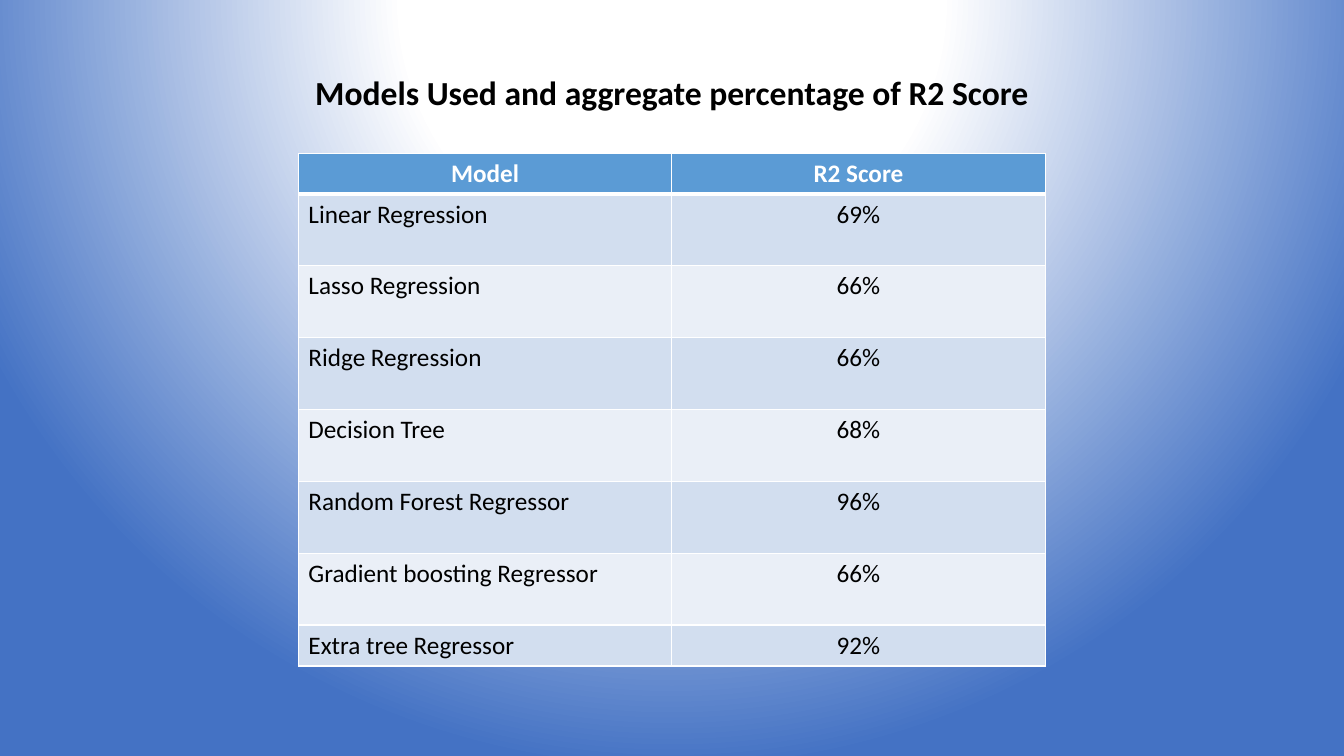
from dataclasses import dataclass

from lxml import etree
from pptx import Presentation
from pptx.dml.color import RGBColor
from pptx.enum import text
from pptx.oxml import ns
from pptx.util import Cm, Pt

COLORS = {
    "white": "FFFFFF",
    "black": "000000",
    "glow": "4472C4",
    "header": "5B9BD5",
    "odd_row": "D2DEEF",
    "even_row": "EAEFF7",
}
CENTER = text.PP_ALIGN.CENTER
LEFT = text.PP_ALIGN.LEFT
SHORT_ROW, TALL_ROW = 1.03, 1.81
COLUMN_WIDTH = 9.41


@dataclass
class ModelScore:
    model: str
    score: str
    height: float = TALL_ROW


SCORES = [
    ModelScore("Linear Regression", "69%"),
    ModelScore("Lasso Regression", "66%"),
    ModelScore("Ridge Regression", "66%"),
    ModelScore("Decision Tree", "68%"),
    ModelScore("Random Forest Regressor", "96%"),
    ModelScore("Gradient boosting Regressor", "66%"),
    ModelScore("Extra tree Regressor", "92%", SHORT_ROW),
]


def write(frame, content: str, *, size: float = 18, color: str = "black",
          bold: bool = False, align=LEFT) -> None:
    paragraph = frame.paragraphs[0]
    paragraph.alignment = align
    run = paragraph.add_run()
    run.text = content
    run.font.name = "Calibri"
    run.font.size = Pt(size)
    run.font.bold = bold
    run.font.color.rgb = RGBColor.from_string(COLORS[color])


def add_solid_fill(parent, color: str) -> None:
    fill = etree.SubElement(parent, ns.qn("a:solidFill"))
    etree.SubElement(fill, ns.qn("a:srgbClr"), val=COLORS[color])


def paint_background(slide) -> None:
    """Radial glow centred above the slide, white inside and blue outside."""
    slide.background.fill.gradient()
    gradient = next(slide.element.iter(ns.qn("a:gradFill")))
    for child in list(gradient):
        gradient.remove(child)
    stops = etree.SubElement(gradient, ns.qn("a:gsLst"))
    for percent, color in ((0, "white"), (35, "white"), (100, "glow")):
        stop = etree.SubElement(stops, ns.qn("a:gs"), pos=str(percent * 1000))
        etree.SubElement(stop, ns.qn("a:srgbClr"), val=COLORS[color])
    circle = etree.SubElement(gradient, ns.qn("a:path"), path="circle")
    etree.SubElement(circle, ns.qn("a:fillToRect"),
                     l="50000", t="-80000", r="50000", b="180000")


def format_cell(cell, fill: str, top: float = 1, bottom: float = 1) -> None:
    """Set white borders, widths in points, and then the fill."""
    properties = cell._tc.get_or_add_tcPr()
    for side, width in (("L", 1), ("R", 1), ("T", top), ("B", bottom)):
        line = etree.SubElement(properties, ns.qn(f"a:ln{side}"), w=str(Pt(width)))
        add_solid_fill(line, "white")
    cell.fill.solid()
    cell.fill.fore_color.rgb = RGBColor.from_string(COLORS[fill])


def add_title(slide) -> None:
    title = slide.shapes.title
    title.left, title.top, title.width, title.height = Cm(2.33), Cm(1.01), Cm(29.21), Cm(3.68)
    frame = title.text_frame
    frame.word_wrap = True
    frame.vertical_anchor = text.MSO_ANCHOR.MIDDLE
    frame.margin_bottom = Cm(1.05)
    write(frame, "Models Used and aggregate percentage of R2 Score",
          size=24, bold=True, align=CENTER)
    frame.paragraphs[0].line_spacing = 0.9


def add_score_table(slide) -> None:
    rows = [ModelScore("Model", "R2 Score", SHORT_ROW), *SCORES]
    height = sum(row.height for row in rows)
    table = slide.shapes.add_table(len(rows), 2, Cm(7.52), Cm(3.86),
                                   Cm(2 * COLUMN_WIDTH), Cm(height)).table
    for index, row in enumerate(rows):
        table.rows[index].height = Cm(row.height)
        is_header = index == 0
        fill = "header" if is_header else "odd_row" if index % 2 else "even_row"
        for column, content in enumerate((row.model, row.score)):
            cell = table.cell(index, column)
            format_cell(cell, fill, top=3 if index == 1 else 1,
                        bottom=3 if is_header else 1)
            write(cell.text_frame, content, bold=is_header,
                  color="white" if is_header else "black",
                  align=CENTER if is_header or column else LEFT)


def main() -> None:
    presentation = Presentation()
    presentation.slide_width, presentation.slide_height = Cm(33.87), Cm(19.05)
    slide = presentation.slides.add_slide(presentation.slide_layouts.get_by_name("Title Only"))
    paint_background(slide)
    add_title(slide)
    add_score_table(slide)
    presentation.save("out.pptx")


if __name__ == "__main__":
    main()
